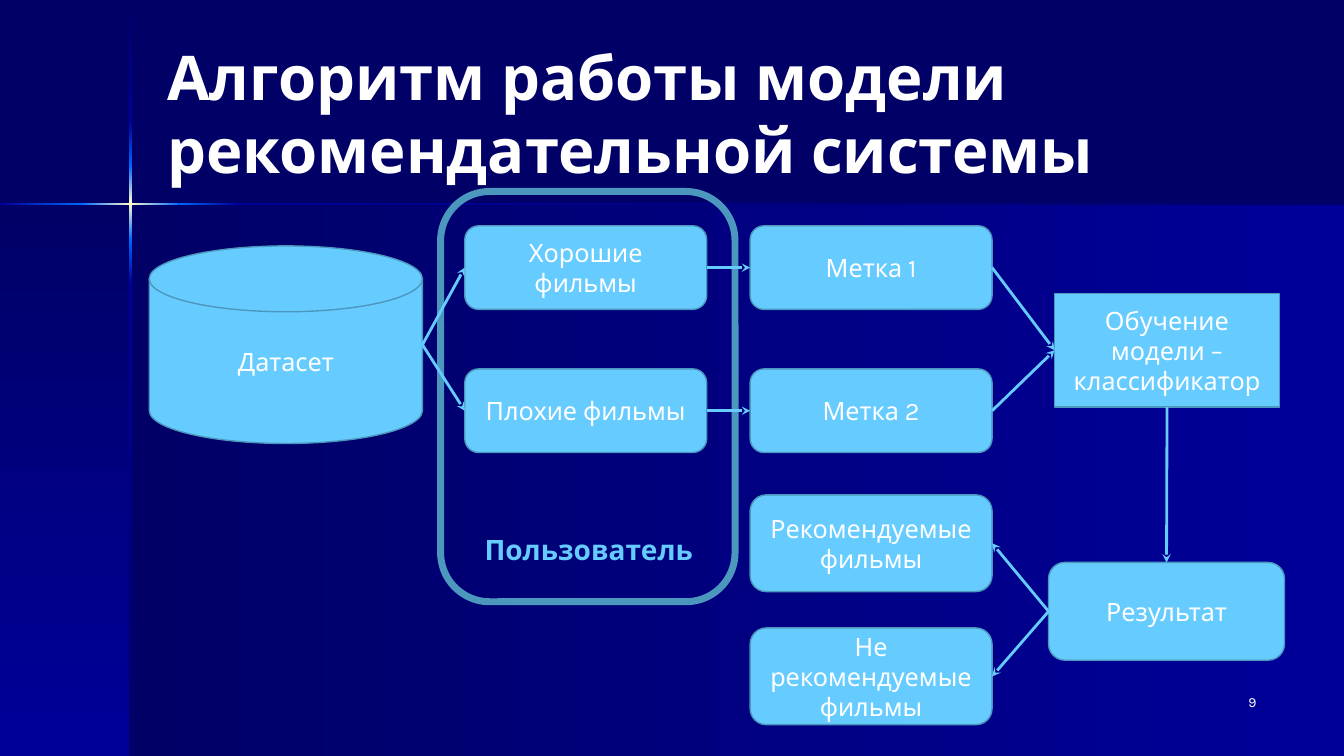
from typing import NamedTuple

from lxml import etree
from pptx import Presentation
from pptx import util as u
from pptx.dml.color import RGBColor
from pptx.enum import shapes, text
from pptx.oxml.ns import qn

W, H = 13.33, 7.5
FONT = "Karla"
NAVY, BLUE, BRIGHT, GLOW = "000066", "000099", "0066FF", "FFFFCC"
SKY, STEEL, WHITE = "66CCFF", "4B97BD", "FFFFFF"
S, A, P = shapes.MSO_SHAPE, text.MSO_ANCHOR, text.PP_ALIGN
TOP, LEFT, BOTTOM, RIGHT = range(4)
DISK_RIGHT = 4  # a disk has five connection sites

# Grid: (start, length) of each column and row
COLS = {"data": (1.48, 2.71), "user": (4.61, 2.4), "label": (7.44, 2.4),
        "train": (10.46, 2.23), "result": (10.4, 2.34), "frame": (4.37, 2.92)}
ROWS = {"data": (2.44, 1.96), "good": (2.24, 0.83), "bad": (3.66, 0.83),
        "train": (2.91, 1.13), "result": (5.58, 0.97), "frame": (1.9, 4.07),
        "advised": (4.91, 0.96), "rejected": (6.23, 0.96)}


class Node(NamedTuple):
    key: str
    col: str
    row: str
    label: str
    kind: S = S.FLOWCHART_ALTERNATE_PROCESS


class Link(NamedTuple):
    start: str
    end: str
    exit: int = RIGHT
    entry: int = LEFT


class Caption(NamedTuple):
    label: str
    box: tuple
    align: P
    anchor: A
    font: dict


NODES = [
    Node("data", "data", "data", "Датасет", S.FLOWCHART_MAGNETIC_DISK),
    Node("good", "user", "good", "Хорошие фильмы"),
    Node("bad", "user", "bad", "Плохие фильмы"),
    Node("train", "train", "train", "Обучение модели – классификатор", S.RECTANGLE),
    Node("result", "result", "result", "Результат"),
    Node("advised", "label", "advised", "Рекомендуемые фильмы"),
    Node("rejected", "label", "rejected", "Не рекомендуемые фильмы"),
    Node("label1", "label", "good", "Метка 1"),
    Node("label2", "label", "bad", "Метка 2"),
]
LINKS = [
    Link("data", "good"), Link("data", "bad"),
    Link("good", "label1"), Link("bad", "label2"),
    Link("label1", "train"), Link("label2", "train"),
    Link("train", "result", BOTTOM, TOP),
    Link("result", "advised", LEFT, RIGHT), Link("result", "rejected", LEFT, RIGHT),
]
TITLE = Caption("Алгоритм работы модели рекомендательной системы", (1.56, 0.33, 11, 1.57),
                P.LEFT, A.MIDDLE, {"size": u.Pt(44), "bold": True})
CAPTIONS = [
    Caption("Пользователь", (4.67, 5.23, 2.34, 0.44), P.CENTER, A.TOP,
            {"size": u.Pt(20), "bold": True}),
    Caption("9", (9.78, 6.83, 2.78, 0.5), P.RIGHT, A.TOP, {"size": u.Pt(10)}),
]


def rgb(value: str) -> RGBColor:
    return RGBColor.from_string(value)


def inches(*values: float) -> list:
    return [u.Inches(v) for v in values]


def write(sp, label: str, align: P, anchor: A, font: dict, color: str = WHITE) -> None:
    tf = sp.text_frame
    tf.word_wrap, tf.vertical_anchor = True, anchor
    p = tf.paragraphs[0]
    p.alignment = align
    r = p.add_run()
    r.text = label
    for name, value in {"name": FONT, **font}.items():
        setattr(r.font, name, value)
    r.font.color.rgb = rgb(color)


def add_shape(slide, kind: S, box: tuple):
    sp = slide.shapes.add_shape(kind, *inches(*box))
    sp.shadow.inherit = False
    return sp


def add_gradient(slide, box: tuple, colors: tuple, vertical: bool) -> None:
    sp = add_shape(slide, S.RECTANGLE, box)
    sp.line.fill.background()
    sp.fill.gradient()
    sp.fill.gradient_angle = 270 if vertical else 0
    stops = sp._element.spPr.find(qn("a:gradFill")).find(qn("a:gsLst"))
    for stop in list(stops):
        stops.remove(stop)
    for i, color in enumerate(colors):
        gs = etree.SubElement(stops, qn("a:gs"), pos=str(100000 * i // (len(colors) - 1)))
        etree.SubElement(gs, qn("a:srgbClr"), val=color)


def add_beam(slide, cuts: list, ramps: list, across: float, thick: float, vertical: bool) -> None:
    for start, end, colors in zip(cuts, cuts[1:], ramps):
        box = (across, start, thick, end - start) if vertical else (start, across, end - start, thick)
        add_gradient(slide, box, colors, vertical)


def cell(col: str, row: str) -> tuple:
    (x, w), (y, h) = COLS[col], ROWS[row]
    return x, y, w, h


def add_node(slide, node: Node):
    sp = add_shape(slide, node.kind, cell(node.col, node.row))
    sp.fill.solid()
    sp.fill.fore_color.rgb = rgb(SKY)
    sp.line.color.rgb, sp.line.width = rgb(STEEL), u.Pt(1)
    write(sp, node.label, P.CENTER, A.MIDDLE, {"size": u.Pt(18)})
    return sp


def add_link(slide, link: Link, nodes: dict) -> None:
    c = slide.shapes.add_connector(shapes.MSO_CONNECTOR.STRAIGHT, 0, 0, 0, 0)
    c.begin_connect(nodes[link.start], link.exit)
    c.end_connect(nodes[link.end], link.entry)
    if link.start == "data":
        c._element.find(".//" + qn("a:stCxn")).set("idx", str(DISK_RIGHT))
    c.line.color.rgb, c.line.width = rgb(SKY), u.Pt(2)
    etree.SubElement(c.line._get_or_add_ln(), qn("a:tailEnd"), type="stealth")
    etree.SubElement(c._element.spPr, qn("a:effectLst"))


def add_caption(slide, item: Caption, color: str = WHITE) -> None:
    sp = slide.shapes.add_textbox(*inches(*item.box))
    write(sp, item.label, item.align, item.anchor, item.font, color)


prs = Presentation()
prs.slide_width, prs.slide_height = inches(W, H)
slide = prs.slides.add_slide(prs.slide_layouts[6])
slide.background.fill.solid()
slide.background.fill.fore_color.rgb = rgb(NAVY)

# Background panels and the crossing beams of light
add_gradient(slide, (1.29, 2.02, W - 1.29, H - 2.02), (NAVY, BLUE), False)
add_gradient(slide, (0, 2.02, 1.29, H - 2.02), (NAVY, BLUE), True)
ramps = [(NAVY, BLUE), (BLUE, BRIGHT), (BRIGHT, GLOW, BRIGHT), (BRIGHT, BLUE), (BLUE, NAVY)]
add_beam(slide, [0.01, 1.21, 1.65, 2.38, 2.82, H], ramps, 1.28, 0.03, True)
add_beam(slide, [0, 0.81, 1.78, 2.36, W], ramps[1:], 2.01, 0.02, False)

# Frame around the user's choices, then the title
frame = add_shape(slide, S.FLOWCHART_ALTERNATE_PROCESS, cell("frame", "frame"))
frame.fill.background()
frame.line.color.rgb, frame.line.width = rgb(STEEL), u.Pt(5)
add_caption(slide, TITLE)

# Flow chart
nodes = {node.key: add_node(slide, node) for node in NODES}
for link in LINKS:
    add_link(slide, link, nodes)

# Frame caption and page number
for item, color in zip(CAPTIONS, (SKY, WHITE)):
    add_caption(slide, item, color)

prs.save("out.pptx")
